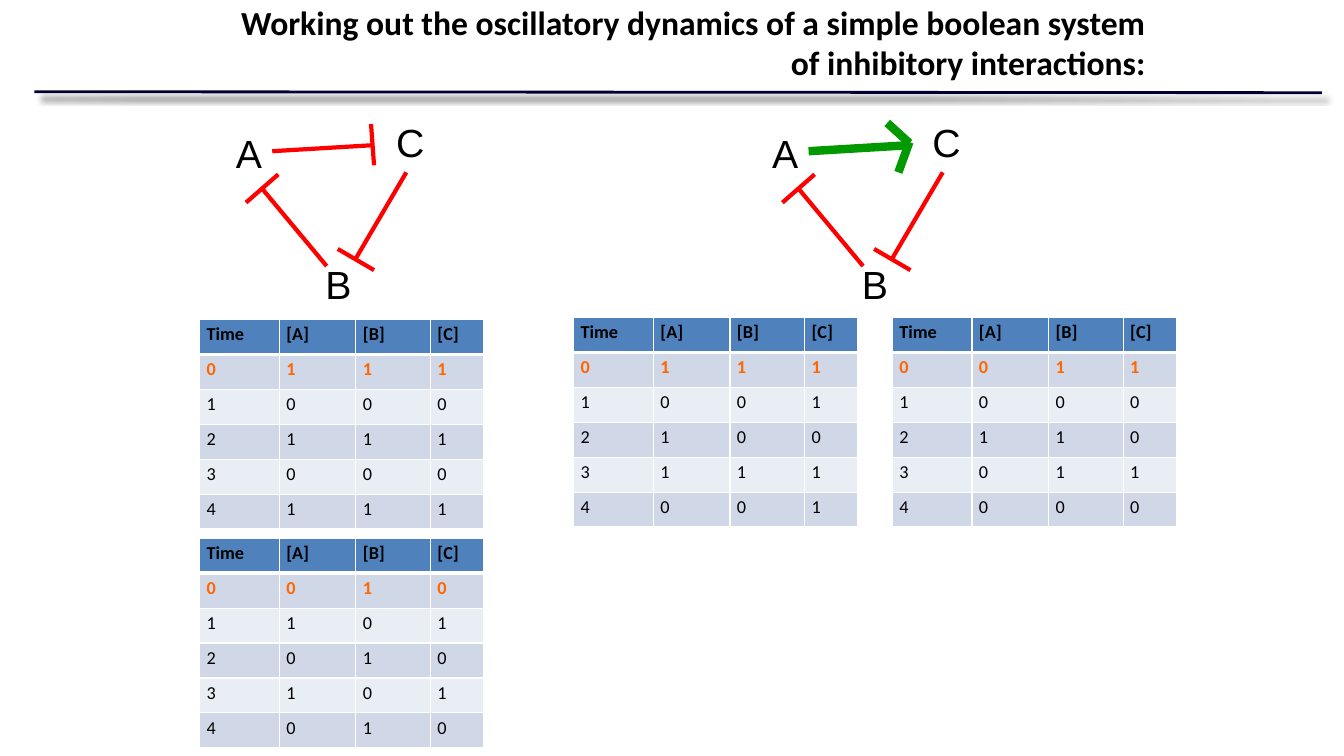
import pptx
import pptx.dml.color
import pptx.enum.shapes
import pptx.enum.text
import pptx.oxml
import pptx.oxml.ns
import pptx.util
from pptx.dml.color import RGBColor
from pptx.util import Inches

BLACK = RGBColor(0x00, 0x00, 0x00)
NAVY = RGBColor(0x00, 0x00, 0x33)
RED = RGBColor(0xFF, 0x00, 0x00)
GREEN = RGBColor(0x00, 0x99, 0x00)
ORANGE = RGBColor(0xFF, 0x66, 0x00)
HEADER_BLUE = RGBColor(0x4F, 0x81, 0xBD)
BAND_DARK = RGBColor(0xD0, 0xD8, 0xE8)
BAND_LIGHT = RGBColor(0xE9, 0xED, 0xF4)
WHITE = RGBColor(0xFF, 0xFF, 0xFF)

TITLE = ("Working out the oscillatory dynamics of a simple boolean system "
         "of inhibitory interactions:")
HEADINGS = ["Time", "[A]", "[B]", "[C]"]
COLUMN_WIDTHS = [0.79, 0.76, 0.74, 0.53]
TABLE_HEIGHT = 2.08

# Left, top, and the states of A, B and C at each time step
STATE_TABLES = [
    (8.85, 3.15, ["011", "000", "110", "011", "000"]),
    (1.98, 5.34, ["010", "101", "010", "101", "010"]),
    (1.98, 3.17, ["111", "000", "111", "000", "111"]),
    (5.69, 3.15, ["111", "001", "100", "111", "001"]),
]

NODES = [("A", 2.24, 1.23, 0.44), ("B", 3.13, 2.53, 0.46), ("C", 3.83, 1.12, 0.49)]
B_INHIBITS_A = [(3.24, 2.64, 2.59, 1.86), (2.76, 1.73, 2.44, 2.01)]
C_INHIBITS_B = [(4.03, 1.71, 3.52, 2.58), (3.35, 2.47, 3.71, 2.68)]
A_INHIBITS_C = [(2.7, 1.5, 3.71, 1.44), (3.71, 1.64, 3.68, 1.23)]
A_ACTIVATES_C = [(2.7, 1.5, 3.71, 1.44), (3.59, 1.71, 3.7, 1.41), (3.7, 1.42, 3.48, 1.22)]
NETWORK_SPACING = 5.32


def write_text(frame, text, size, font="Calibri", color=BLACK, bold=False,
               align=pptx.enum.text.PP_ALIGN.LEFT):
    para = frame.paragraphs[0]
    para.alignment = align
    span = para.add_run()
    span.text = text
    span.font.size = pptx.util.Pt(size)
    span.font.name = font
    span.font.bold = bold
    span.font.color.rgb = color


def add_text(shapes, left, top, width, height, text, size, wrap=True, **text_format):
    box = shapes.add_textbox(Inches(left), Inches(top), Inches(width), Inches(height))
    box.text_frame.word_wrap = wrap
    write_text(box.text_frame, text, size, **text_format)


def add_line(shapes, ends, color, weight):
    """Draw a straight line without a shadow and return its effect list."""
    line = shapes.add_connector(pptx.enum.shapes.MSO_CONNECTOR.STRAIGHT,
                                *[Inches(value) for value in ends])
    line.line.color.rgb = color
    line.line.width = pptx.util.Pt(weight)
    effects = pptx.oxml.parse_xml(
        f'<a:effectLst {pptx.oxml.ns.nsdecls("a")}/>')
    line._element.spPr.append(effects)
    return effects


def add_title_rule(shapes):
    effects = add_line(shapes, (0.34, 0.91, 13.11, 0.92), NAVY, 2)
    effects.append(pptx.oxml.parse_xml(
        f'<a:outerShdw {pptx.oxml.ns.nsdecls("a")} blurRad="{pptx.util.Pt(4)}" '
        f'dist="{pptx.util.Pt(6)}" dir="2700000" algn="ctr" rotWithShape="0">'
        '<a:srgbClr val="000000"><a:alpha val="50000"/></a:srgbClr></a:outerShdw>'))


def add_network(slide, offset, a_to_c, color, weight):
    """Group the three nodes with their links; only the link from A to C varies."""
    shapes = slide.shapes.add_group_shape().shapes
    for name, left, top, width in NODES:
        add_text(shapes, left + offset, top, width, 0.57, name, 28, wrap=False, font="Arial")
    links = [(a_to_c, color, weight), (B_INHIBITS_A, RED, 3), (C_INHIBITS_B, RED, 3)]
    for strokes, link_color, link_weight in links:
        for x1, y1, x2, y2 in strokes:
            add_line(shapes, (x1 + offset, y1, x2 + offset, y2), link_color, link_weight)


def add_borders(cell, **weights):
    properties = cell._tc.get_or_add_tcPr()
    for side in "LRTB":
        width = pptx.util.Pt(weights.get(side, 1))
        properties.append(pptx.oxml.parse_xml(
            f'<a:ln{side} {pptx.oxml.ns.nsdecls("a")} w="{width}"><a:solidFill>'
            f'<a:srgbClr val="{WHITE}"/></a:solidFill></a:ln{side}>'))


def row_style(row):
    """Return the fill, text colour, weight and borders of a table row."""
    if row == 0:
        return HEADER_BLUE, BLACK, True, {"B": 3}
    if row == 1:
        return BAND_DARK, ORANGE, True, {"T": 3}
    return (BAND_DARK if row % 2 else BAND_LIGHT), BLACK, False, {}


def add_state_table(slide, left, top, states):
    rows = [HEADINGS] + [[str(time), *state] for time, state in enumerate(states)]
    table = slide.shapes.add_table(
        len(rows), len(HEADINGS), Inches(left), Inches(top),
        Inches(sum(COLUMN_WIDTHS)), Inches(TABLE_HEIGHT)).table
    for column, width in zip(table.columns, COLUMN_WIDTHS):
        column.width = Inches(width)
    for row, values in enumerate(rows):
        fill, color, bold, borders = row_style(row)
        for column, value in enumerate(values):
            cell = table.cell(row, column)
            cell.margin_left = cell.margin_right = Inches(0.07)
            cell.margin_top = cell.margin_bottom = Inches(0.04)
            add_borders(cell, **borders)
            cell.fill.solid()
            cell.fill.fore_color.rgb = fill
            write_text(cell.text_frame, value, 13, color=color, bold=bold)


def main():
    deck = pptx.Presentation()
    deck.slide_width = Inches(13.33)
    deck.slide_height = Inches(7.5)
    slide = deck.slides.add_slide(deck.slide_layouts[6])
    add_title_rule(slide.shapes)
    add_text(slide.shapes, 2.11, -0.03, 9.35, 1.25, TITLE, 24, bold=True,
             align=pptx.enum.text.PP_ALIGN.RIGHT)
    add_network(slide, 0, A_INHIBITS_C, RED, 3)
    add_network(slide, NETWORK_SPACING, A_ACTIVATES_C, GREEN, 6)
    for left, top, states in STATE_TABLES:
        add_state_table(slide, left, top, states)
    deck.save("out.pptx")


if __name__ == "__main__":
    main()
